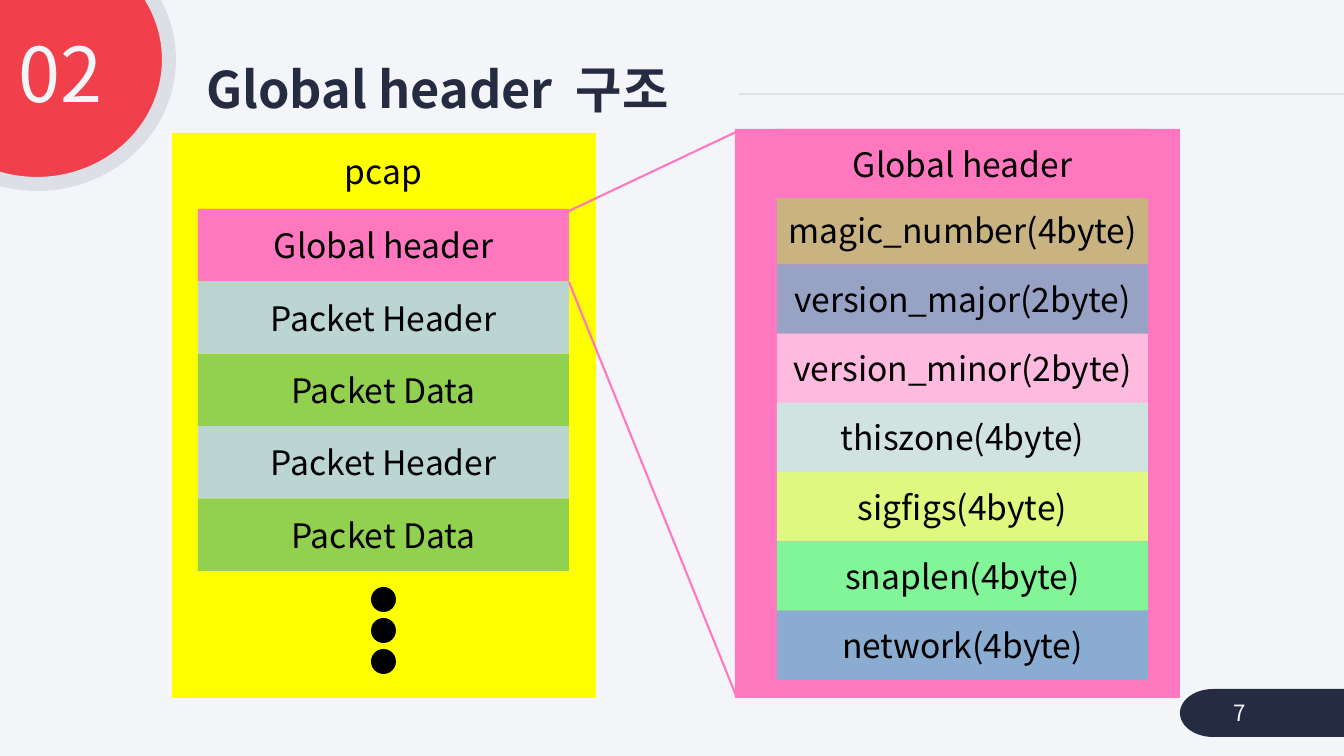
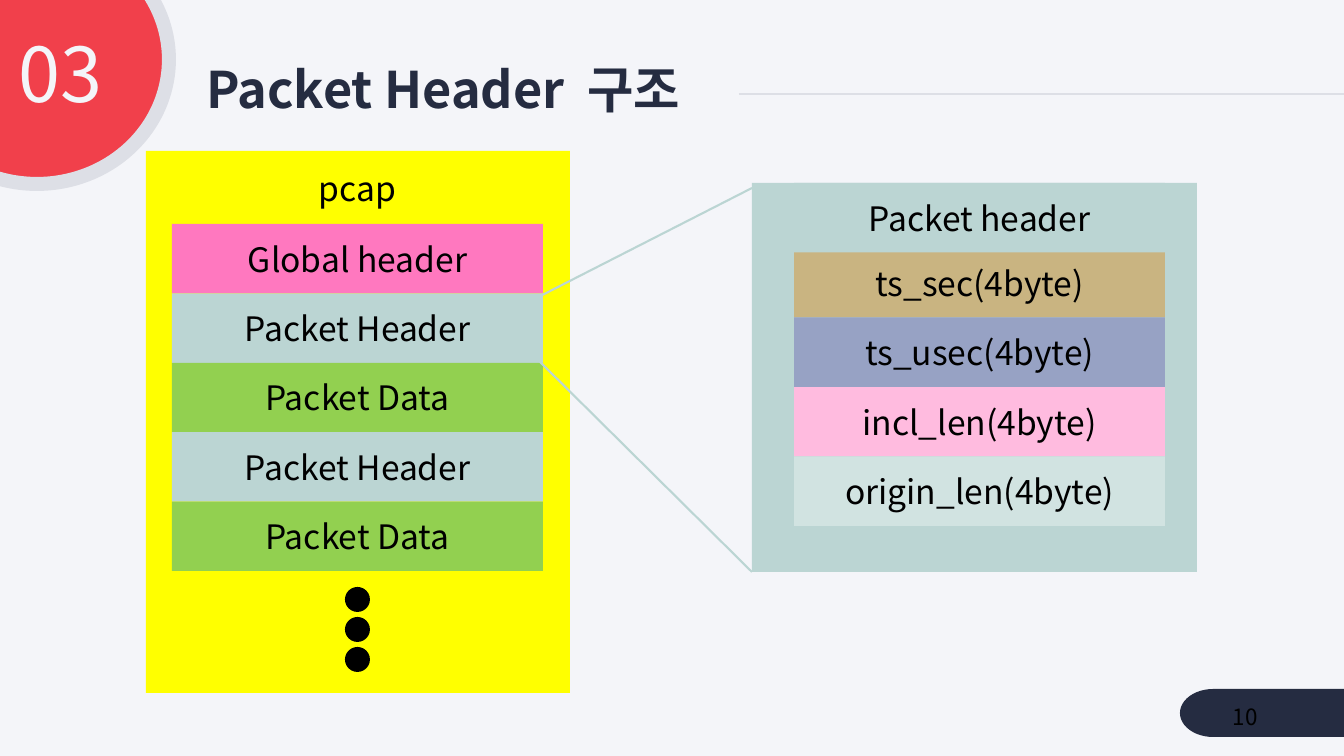
from lxml import etree
from pptx import Presentation
from pptx import util as u
from pptx.dml.color import RGBColor
from pptx.enum import shapes, text
from pptx.oxml import ns

PX = 914400 / 100.8
FONT = "Noto Sans CJK KR"

PAPER = RGBColor(0xF4, 0xF5, 0xF9)
NAVY = RGBColor(0x25, 0x2C, 0x41)
RED = RGBColor(0xF1, 0x40, 0x4B)
GREY = RGBColor(0xDD, 0xDF, 0xE6)
BLACK = RGBColor(0, 0, 0)
YELLOW = RGBColor(0xFF, 0xFF, 0)
PINK = RGBColor(0xFF, 0x78, 0xBF)
TEAL = RGBColor(0xBB, 0xD5, 0xD3)
GREEN = RGBColor(0x92, 0xD0, 0x50)
SAND = RGBColor(0xC9, 0xB4, 0x81)
LAVENDER = RGBColor(0x97, 0xA2, 0xC4)
ROSE = RGBColor(0xFF, 0xBB, 0xDF)
MIST = RGBColor(0xD1, 0xE3, 0xE1)
LIME = RGBColor(0xDE, 0xF8, 0x80)
MINT = RGBColor(0x83, 0xF5, 0x99)
SKY = RGBColor(0x8B, 0xAC, 0xD1)

FIELD_COLORS = [SAND, LAVENDER, ROSE, MIST, LIME, MINT, SKY]
PCAP_BLOCKS = [("Global header", PINK), ("Packet Header", TEAL),
               ("Packet Data", GREEN), ("Packet Header", TEAL),
               ("Packet Data", GREEN)]
CELL_W = 371
PCAP_W = 424
FIELDS_W = 445
DOT = 25


def px(*values):
    """Turn pixels into EMU."""
    return [u.Emu(round(v * PX)) for v in values]


def add_run(p, words, size, color, bold=False):
    """Append a run in the deck's font."""
    r = p.add_run()
    r.text = words
    r.font.size = u.Pt(size)
    r.font.bold = bold
    r.font.color.rgb = color
    r.font.name = FONT
    ea = etree.SubElement(r.font._element, ns.qn("a:ea"))
    ea.set("typeface", FONT)
    return r


def add_block(parent, kind, box, fill, label=None):
    """Add a filled, borderless shape with an optional centred label."""
    sp = parent.shapes.add_shape(kind, *px(*box))
    sp.shadow.inherit = False
    sp.fill.solid()
    sp.fill.fore_color.rgb = fill
    sp.line.fill.background()
    if label:
        tf = sp.text_frame
        tf.margin_left = tf.margin_right = 0
        tf.vertical_anchor = text.MSO_ANCHOR.MIDDLE
        p = tf.paragraphs[0]
        p.alignment = text.PP_ALIGN.CENTER
        add_run(p, label, 24, BLACK)
    return sp


def add_line(s, start, end, color):
    """Add a plain straight line."""
    c = s.shapes.add_connector(shapes.MSO_CONNECTOR.STRAIGHT,
                               *px(*start, *end))
    c.line.color.rgb = color
    c.line.width = u.Pt(1.5)
    etree.SubElement(c._element.spPr, ns.qn("a:effectLst"))


def add_text(s, box, words, size, color):
    """Add a wrapping text box and return its frame."""
    tf = s.shapes.add_textbox(*px(*box)).text_frame
    tf.word_wrap = True
    add_run(tf.paragraphs[0], words, size, color)
    return tf


def set_title(s, topic):
    """Place the title and set the topic, a wide gap and the Korean word."""
    title = s.shapes.title
    title.left, title.top, title.width, title.height = px(196, 59, 543, 67)
    tf = title.text_frame
    tf.auto_size = text.MSO_AUTO_SIZE.NONE
    tf.vertical_anchor = text.MSO_ANCHOR.MIDDLE
    p = tf.paragraphs[0]
    p.alignment = text.PP_ALIGN.LEFT
    p.line_spacing = 0.9
    add_run(p, topic, 36, NAVY, True)
    gap = add_run(p, " ", 36, NAVY, True)
    gap.font._element.set("spc", "830")
    add_run(p, "구조", 36, NAVY, True)


def new_slide(prs, section, topic, number, number_at, number_color):
    """Add a slide with the shared rule, badge, title and page tab."""
    s = prs.slides.add_slide(prs.slide_layouts[5])
    add_line(s, (739, 94), (1344, 94), GREY)
    badge = add_block(s, shapes.MSO_SHAPE.OVAL, (-95, -65, 264, 249), RED)
    badge.line.color.rgb = GREY
    badge.line.width = u.Pt(10)
    add_block(s, shapes.MSO_SHAPE.FLOWCHART_TERMINATOR,
              (1180, 689, 207, 48), NAVY)
    set_title(s, topic)
    p = add_text(s, (-11, 32, 123, 93), section, 54, PAPER).paragraphs[0]
    p.alignment = text.PP_ALIGN.RIGHT
    p.line_spacing = 0.9
    p.space_before = u.Pt(10)
    tf = add_text(s, (*number_at, 110, 40), number, 16, number_color)
    tf.vertical_anchor = text.MSO_ANCHOR.MIDDLE
    return s


def add_panel(s, box, color, heading, heading_top, rows, top, bottom):
    """Add a grouped panel: equal rows from top to bottom under a heading."""
    group = s.shapes.add_group_shape()
    rect = shapes.MSO_SHAPE.RECTANGLE
    add_block(group, rect, box, color)
    left = box[0] + (box[2] - CELL_W) // 2
    if box[2] == FIELDS_W:
        left += 5
    height = (bottom - top) / len(rows)
    for i, (label, fill) in enumerate(rows):
        add_block(group, rect, (left, top + i * height, CELL_W, height),
                  fill, label)
    add_block(group, rect, (left, heading_top, CELL_W, height), color, heading)
    return group


def add_pcap(s, left, top, height, heading_top, rows_top, dot_step):
    """Add the pcap file panel, ending in three dots."""
    group = add_panel(s, (left, top, PCAP_W, height), YELLOW, "pcap",
                      heading_top, PCAP_BLOCKS, rows_top, 571)
    for i in range(3):
        add_block(group, shapes.MSO_SHAPE.OVAL,
                  (left + (PCAP_W - DOT) // 2, 587 + i * dot_step, DOT, DOT),
                  BLACK)


def add_fields(s, left, top, height, color, heading, fields, rows_top, bottom):
    """Add the panel that lists the fields of one header."""
    add_panel(s, (left, top, FIELDS_W, height), color, heading, top,
              list(zip(fields, FIELD_COLORS)), rows_top, bottom)


def global_header(prs):
    """Build the slide on the global header."""
    s = new_slide(prs, "02", "Global header", "7", (1224, 693), PAPER)
    add_fields(s, 735, 129, 569, PINK, "Global header",
               ["magic_number(4byte)", "version_major(2byte)",
                "version_minor(2byte)", "thiszone(4byte)", "sigfigs(4byte)",
                "snaplen(4byte)", "network(4byte)"], 195, 680)
    add_pcap(s, 172, 133, 565, 135, 209, 31)
    add_line(s, (736, 132), (569, 211), PINK)
    add_line(s, (569, 282), (737, 698), PINK)


def packet_header(prs):
    """Build the slide on the packet header."""
    s = new_slide(prs, "03", "Packet Header", "10", (1223, 697), BLACK)
    add_pcap(s, 146, 151, 542, 153, 224, 30)
    add_fields(s, 752, 183, 389, TEAL, "Packet header",
               ["ts_sec(4byte)", "ts_usec(4byte)", "incl_len(4byte)",
                "origin_len(4byte)"], 248, 526)
    add_line(s, (752, 188), (511, 311), TEAL)
    add_line(s, (530, 352), (752, 572), TEAL)


def main():
    """Build and save the deck."""
    prs = Presentation()
    prs.slide_width, prs.slide_height = px(1344, 756)
    fill = prs.slide_master.background.fill
    fill.solid()
    fill.fore_color.rgb = PAPER
    global_header(prs)
    packet_header(prs)
    prs.save("out.pptx")


main()
